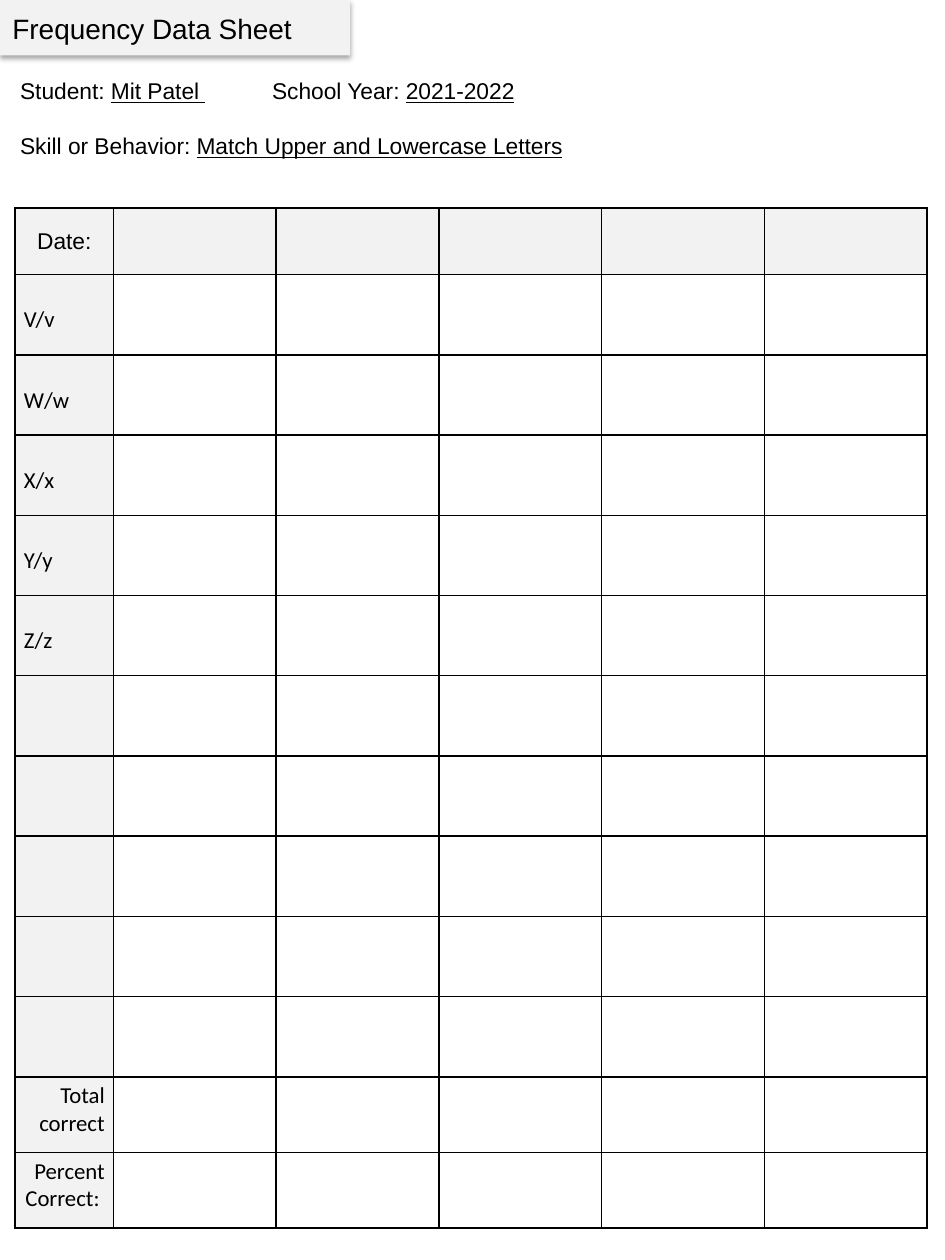
from dataclasses import dataclass
from lxml import etree
from pptx import Presentation
from pptx.dml.color import RGBColor
from pptx.enum.shapes import MSO_SHAPE
from pptx.enum.text import MSO_ANCHOR, PP_ALIGN
from pptx.oxml import parse_xml
from pptx.util import Inches, Pt

RECT = MSO_SHAPE.RECTANGLE
TOP, MIDDLE = MSO_ANCHOR.TOP, MSO_ANCHOR.MIDDLE
LEFT, CENTER, RIGHT = PP_ALIGN.LEFT, PP_ALIGN.CENTER, PP_ALIGN.RIGHT
NS = "http://schemas.openxmlformats.org/drawingml/2006/main"


@dataclass(frozen=True)
class Theme:
    ink: str = "000000"
    shade: str = "F2F2F2"
    head: str = "Arial"
    body: str = "Calibri"
    title: int = 16
    text: int = 13
    rule: int = 1


T = Theme()

# Content
TITLE = "Frequency Data Sheet"
INFO = [  # lines of (text, underlined)
    [("Student: ", False), ("Mit Patel ", True),
     (" \tSchool Year: ", False), ("2021-2022", True)],
    [("Skill or Behavior: ", False),
     ("Match Upper and Lowercase Letters", True)],
]
DATE = "Date:"
SKILLS = ["V/v", "W/w", "X/x", "Y/y", "Z/z"] + [""] * 5
TOTALS = ["Total correct", "Percent Correct: "]

# Grid, in inches
WIDE, HIGH = 7.5, 10
GRID = (0.12, 1.65, 7.24, 8.1)
DAYS = 5
LABEL, HEAD, FOOT = 0.78, 0.53, 0.6
PAD_X, PAD_Y, DROP = 0.07, 0.04, 0.25
DAY = (GRID[2] - LABEL) / DAYS
ROW = (GRID[3] - HEAD - FOOT * len(TOTALS)) / len(SKILLS)
COLS = [LABEL] + [DAY] * DAYS
ROWS = [HEAD] + [ROW] * len(SKILLS) + [FOOT] * len(TOTALS)


def box(at):
    return [Inches(n) for n in at]


def paint(part, color):
    part.fill.solid()
    part.fill.fore_color.rgb = RGBColor.from_string(color)


def style(para, face, size):
    para.font.name = face
    para.font.size = Pt(size)
    para.font.color.rgb = RGBColor.from_string(T.ink)


def pad(part, top=PAD_Y):
    part.margin_left = part.margin_right = Inches(PAD_X)
    part.margin_top, part.margin_bottom = Inches(top), Inches(PAD_Y)


def border(cell):
    props = cell._tc.get_or_add_tcPr()
    for i, side in enumerate(("lnL", "lnR", "lnT", "lnB")):
        props.insert(i, parse_xml(
            f'<a:{side} xmlns:a="{NS}" w="{Pt(T.rule)}"><a:solidFill>'
            f'<a:srgbClr val="{T.ink}"/></a:solidFill></a:{side}>'))


def label(cell, text, face, align, anchor=TOP, top=PAD_Y):
    pad(cell, top)
    cell.vertical_anchor = anchor
    para = cell.text_frame.paragraphs[0]
    para.text, para.alignment = text, align
    style(para, face, T.text)


deck = Presentation()
deck.slide_width, deck.slide_height = Inches(WIDE), Inches(HIGH)
slide = deck.slides.add_slide(deck.slide_layouts[6])
shapes = slide.shapes

# Title band with a soft shadow
band = shapes.add_shape(RECT, *box((0, 0, 2.78, 0.44)))
paint(band, T.shade)
band.line.fill.background()
band.shadow.inherit = False
glow = band._element.spPr.find(f"{{{NS}}}effectLst")
glow.append(etree.fromstring(
    f'<a:outerShdw xmlns:a="{NS}" blurRad="{Pt(3.1)}" dist="{Pt(1.8)}" '
    f'dir="5400000" rotWithShape="0"><a:srgbClr val="{T.ink}">'
    '<a:alpha val="35000"/></a:srgbClr></a:outerShdw>'))

name = shapes.add_textbox(*box((0, 0.04, 2.45, 0.37))).text_frame
name.word_wrap = False
name.text = TITLE
style(name.paragraphs[0], T.head, T.title)

# Student details
info = shapes.add_textbox(*box((0.09, 0.35, 7.4, 1.16))).text_frame
info.word_wrap = True
pad(info, 0.26)
for i, line in enumerate(INFO):
    para = info.add_paragraph() if i else info.paragraphs[0]
    style(para, T.head, T.text)
    if i:
        para.space_before = Pt(16)
    for text, under in line:
        run = para.add_run()
        run.text = text
        run.font.underline = under

# Data grid
table = shapes.add_table(len(ROWS), len(COLS), *box(GRID)).table
for col, size in zip(table.columns, COLS):
    col.width = Inches(size)
for r, (row, size) in enumerate(zip(table.rows, ROWS)):
    row.height = Inches(size)
    for c, cell in enumerate(row.cells):
        if r == 0 or c == 0:
            paint(cell, T.shade)
        else:
            cell.fill.background()
        border(cell)

# Row labels
label(table.cell(0, 0), DATE, T.head, CENTER, MIDDLE)
for r, text in enumerate(SKILLS, 1):
    label(table.cell(r, 0), text, T.body, LEFT, top=DROP)
for r, text in enumerate(TOTALS, 1 + len(SKILLS)):
    label(table.cell(r, 0), text, T.body, RIGHT)

deck.save("out.pptx")
